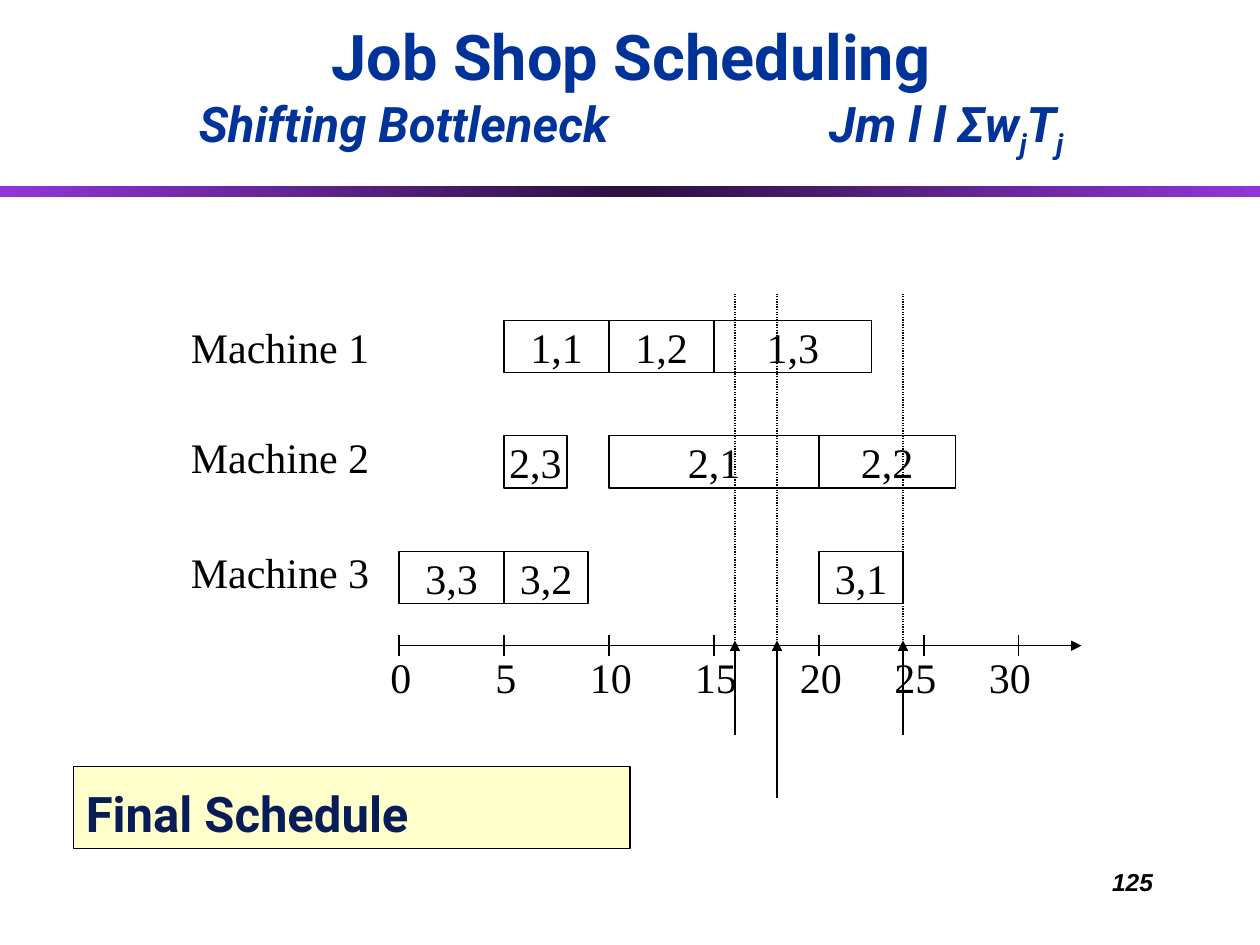
import copy
import pptx
import pptx.util
import pptx.dml.color
import pptx.enum.dml
import pptx.enum.shapes
import pptx.enum.text
import pptx.oxml.ns
from lxml import etree

COL, ROW = pptx.util.Inches(1 / 6), pptx.util.Inches(1 / 24)
ZERO = 19      # column of time 0; one column is one time unit
AXIS = 123     # row of the time axis
qn = pptx.oxml.ns.qn
Rgb = pptx.dml.color.RGBColor.from_string
Align = pptx.enum.text.PP_ALIGN
Anchor = pptx.enum.text.MSO_ANCHOR
Rect = pptx.enum.shapes.MSO_SHAPE.RECTANGLE
TIMES = {"name": "Times New Roman", "size": pptx.util.Pt(24)}

deck = pptx.Presentation()
deck.slide_width, deck.slide_height = 60 * COL, 180 * ROW
slide = deck.slides.add_slide(deck.slide_layouts[6])
shapes = slide.shapes


def block(area, parts, color="000000", fill=None, border=None, align=Align.LEFT,
          anchor=Anchor.TOP, wrap=True, tabs=()):
    """Add a box at (column, row, columns, rows); parts pair text with font values."""
    x, y, w, h = area
    place = [round(n) for n in (x * COL, y * ROW, w * COL, h * ROW)]
    if fill or border:
        box = shapes.add_shape(Rect, *place)
        box.shadow.inherit = False
        if fill:
            box.fill.solid()
            box.fill.fore_color.rgb = Rgb(fill)
        else:
            box.fill.background()
        if border:
            box.line.color.rgb = Rgb(border)
            box.line.width = pptx.util.Pt(0.75)
        else:
            box.line.fill.background()
    else:
        box = shapes.add_textbox(*place)
    frame = box.text_frame
    frame.word_wrap, frame.vertical_anchor = wrap, anchor
    para = frame.paragraphs[0]
    para.alignment = align
    if tabs:
        stops = etree.SubElement(para._p.get_or_add_pPr(), qn("a:tabLst"))
        for pos, kind in tabs:
            etree.SubElement(stops, qn("a:tab"), pos=str(round(pos * COL)), algn=kind)
    for text, style in parts:
        if text == "\n":
            para.add_line_break()
            continue
        run = para.add_run()
        run.text = text
        run.font.color.rgb = Rgb(color)
        for key, val in style.items():
            if key == "baseline":
                run.font._element.set(key, val)
            else:
                setattr(run.font, key, val)
    return box


def line(start, end, dash=None, arrow=False):
    """Join two (column, row) points."""
    (x1, y1), (x2, y2) = start, end
    ends = [round(n) for n in (x1 * COL, y1 * ROW, x2 * COL, y2 * ROW)]
    link = shapes.add_connector(pptx.enum.shapes.MSO_CONNECTOR.STRAIGHT, *ends)
    link.line.color.rgb = Rgb("000000")
    link.line.width = pptx.util.Pt(0.75)
    if dash:
        link.line.dash_style = dash
    if arrow:
        etree.SubElement(link.line._get_or_add_ln(), qn("a:tailEnd"), type="triangle")
    etree.SubElement(link._element.spPr, qn("a:effectLst"))


# Band under the heading
band = block((0, 35.5, 60, 2), [], fill="9234DB")
band.fill.gradient()
band.fill.gradient_angle = 0
first, last = band.fill.gradient_stops
for stop in (first, last):
    stop.color.rgb = Rgb("9234DB")
first.position, last.position = 0, 1
first._gs.addnext(copy.deepcopy(first._gs))
mid = band.fill.gradient_stops[1]
mid.position = 0.5
mid.color.rgb = Rgb("2B1040")

# Heading, caption and page number
bold = {"name": "Roboto", "size": pptx.util.Pt(28), "bold": True}
slant = {**bold, "italic": True}
sub = {**slant, "baseline": "-25000"}
block((2.5, 6, 55.1, 25.7),
      [("Job Shop Scheduling", {**bold, "size": pptx.util.Pt(36)}), ("\n", {}),
       ("Shifting Bottleneck\t\tJm l l Σw", slant), ("j", sub), ("T", slant), ("j", sub)],
      color="003399", align=Align.CENTER, anchor=Anchor.BOTTOM, tabs=[(24, "l"), (30, "l")])
block((3.5, 146, 26.5, 15.6), [("Final Schedule", bold)], color="081D58",
      fill="FFFFCC", border="000000", anchor=Anchor.BOTTOM)
block((43, 164, 12.5, 12),
      [("125", {"name": "Arial", "size": pptx.util.Pt(14), "bold": True, "italic": True})],
      align=Align.RIGHT)

# Time axis
line((ZERO, AXIS), (ZERO + 32.5, AXIS), arrow=True)
for time in (0, 5, 10, 15, 20, 25, 29.5):
    line((ZERO + time, AXIS - 2), (ZERO + time, AXIS + 2))
block((18, AXIS, 31.7, 12), [("0\t5\t10\t15\t20\t25\t30", TIMES)],
      tabs=[(pos, "ctr") for pos in (5.5, 10.5, 15.5, 20.5, 25, 29.5)])

# Machines: label row, then (job, start, length)
plan = [
    (60, [("1,1", 5, 5), ("1,2", 10, 5), ("1,3", 15, 7.5)]),
    (81, [("2,3", 5, 3), ("2,1", 10, 10), ("2,2", 20, 6.5)]),
    (103, [("3,3", 0, 5), ("3,2", 5, 4), ("3,1", 20, 4)]),
]
for num, (top, jobs) in enumerate(plan):
    block((8.5, top, 9.7, 12), [(f"Machine {num + 1}", TIMES)], wrap=False)
    for job, start, length in jobs:
        block((ZERO + start, 61 + 22 * num, length, 10), [(job, TIMES)], border="000000",
              align=Align.CENTER, anchor=Anchor.MIDDLE, wrap=False)

# Due dates
for due, foot in ((16, 140), (18, 152), (24, 140)):
    tip = (ZERO + due, AXIS - 1)
    line((ZERO + due, foot), tip, arrow=True)
    line(tip, (ZERO + due, 56), dash=pptx.enum.dml.MSO_LINE.ROUND_DOT)

deck.save("out.pptx")
